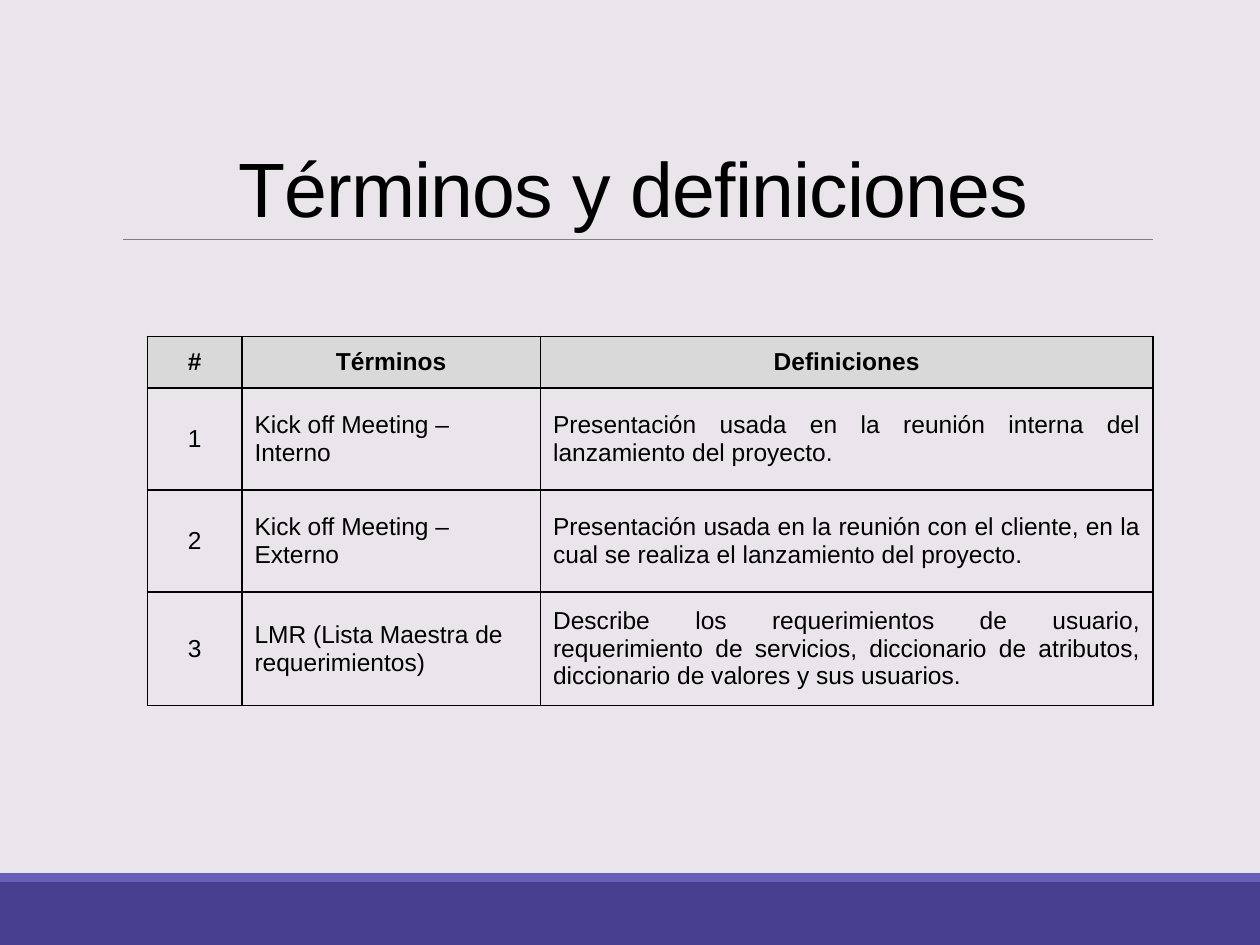
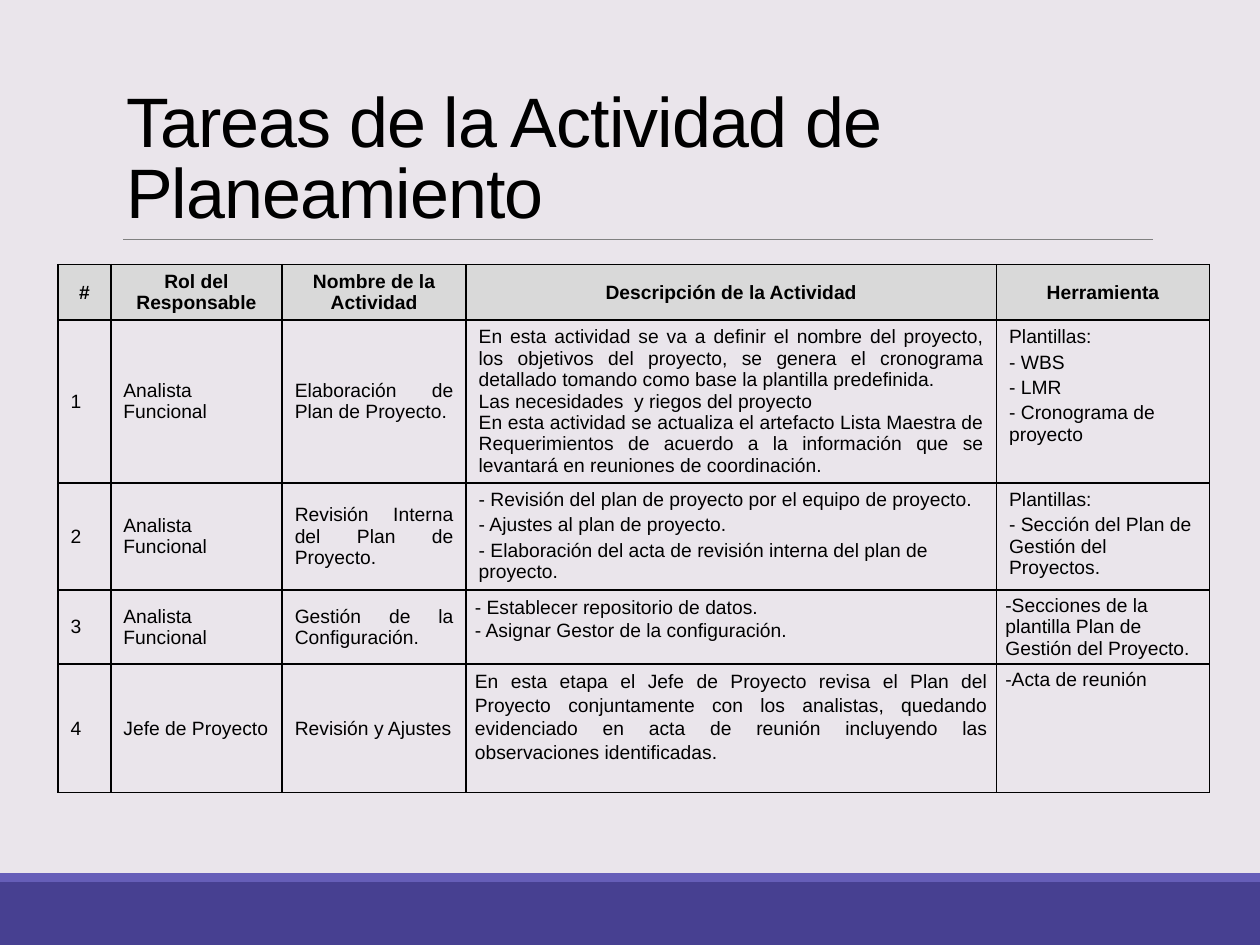
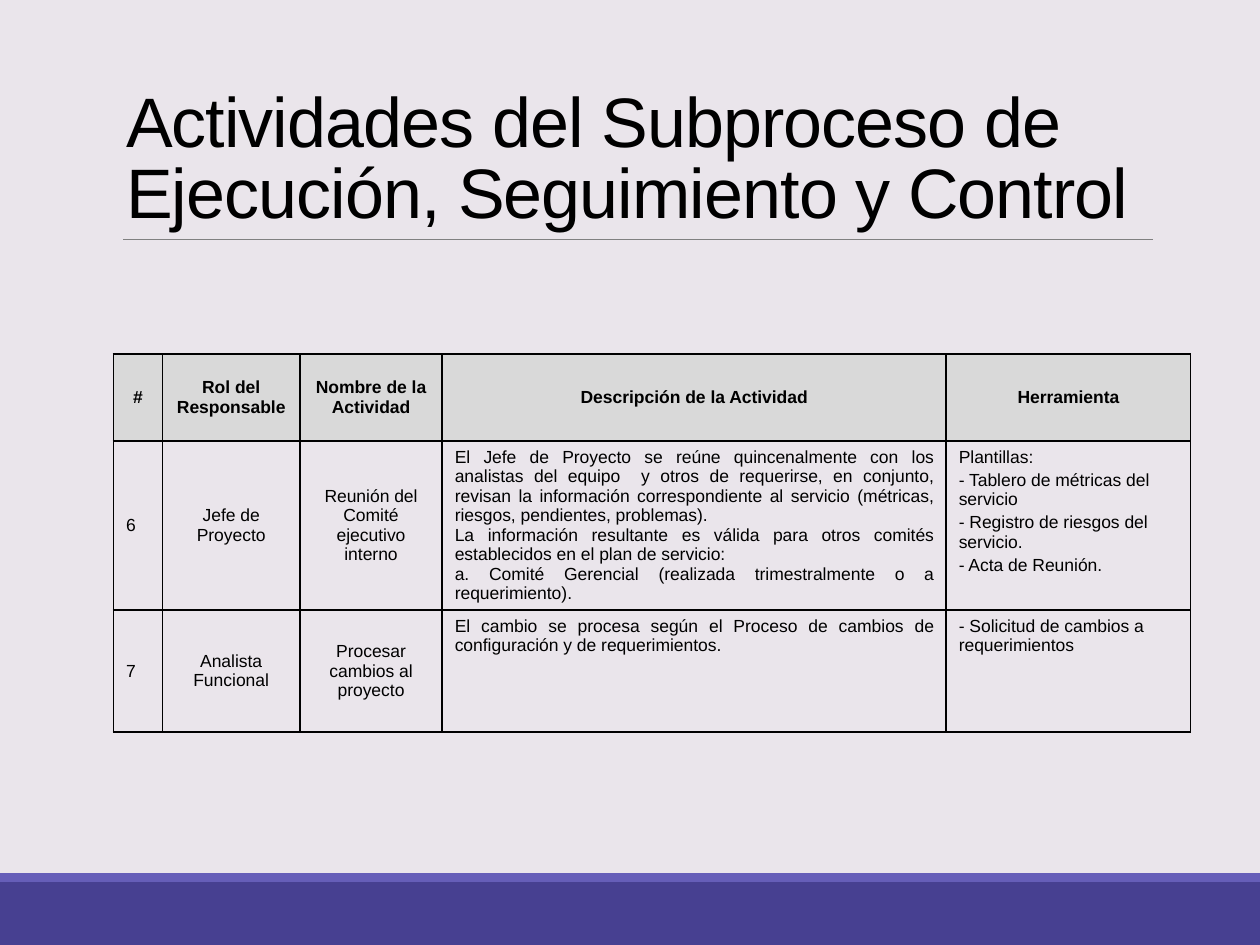
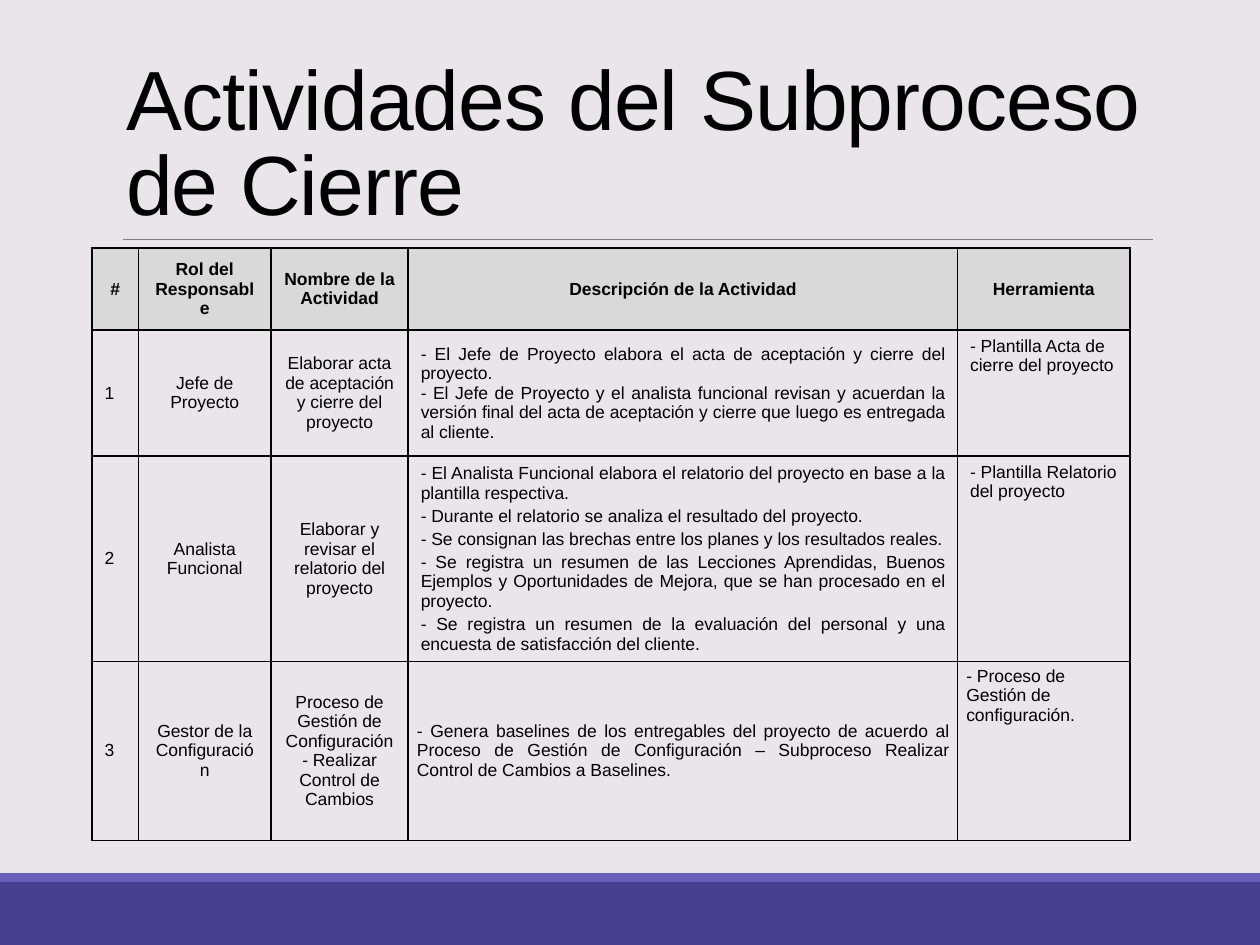
import pptx
import pptx.util
import pptx.dml.color
import pptx.enum.shapes
import pptx.enum.text
import pptx.oxml
import pptx.oxml.ns

Inches, Pt = pptx.util.Inches, pptx.util.Pt
ALIGN = pptx.enum.text.PP_ALIGN
ANCHOR = pptx.enum.text.MSO_ANCHOR

COLORS = {
    "background": "EAE5EB", "band": "474091", "strip": "665EB8",
    "rule": "808080", "text": "000000", "header": "D9D9D9", "border": "000000",
}
FONT = "Arial"

# Cell formats; a gap is a share of the text size.
BASE = {"align": ALIGN.LEFT, "anchor": ANCHOR.MIDDLE, "bold": False,
        "gap": 0, "spacing": None, "margins": (0.1, 0.05)}
LEFT = {}
CENTER = {"align": ALIGN.CENTER}
JUSTIFY = {"align": ALIGN.JUSTIFY}
HEADER = {**CENTER, "bold": True}
TOP_JUSTIFY = {**JUSTIFY, "anchor": ANCHOR.TOP}
TOP_LIST = {"anchor": ANCHOR.TOP, "gap": 0.2}
TIGHT = {"margins": (0.07, 0.04)}
OPEN = {**TIGHT, "spacing": 1.1}
SPACED = {"gap": 0.2}


def rgb(name):
    """Return the named colour."""
    return pptx.dml.color.RGBColor.from_string(COLORS[name])


def set_all(obj, values):
    """Set every attribute in the dict on the object."""
    for name, value in values.items():
        setattr(obj, name, value)


def add_xml(parent, xml):
    """Append an element of the drawing namespace."""
    head, tail = xml.split(" ", 1)
    ns = pptx.oxml.ns.nsdecls("a")
    parent.append(pptx.oxml.parse_xml(f"{head} {ns} {tail}"))


class Deck:
    """Holds the style and the current slide."""

    def __init__(self):
        """Start a 4:3 presentation with a shared layout."""
        self.prs = pptx.Presentation()
        set_all(self.prs, {"slide_width": Inches(10), "slide_height": Inches(7.5)})
        self.layout = self.prs.slide_layouts[5]
        fill = self.layout.background.fill
        fill.solid()
        fill.fore_color.rgb = rgb("background")
        self.slide = None

    def new_slide(self, title, size, align=ALIGN.LEFT):
        """Open a slide with its title; the first one also fills the layout."""
        first = self.slide is None
        self.slide = self.prs.slides.add_slide(self.layout)
        if first:
            self.share([self.band(7, 0.5, "band"), self.band(6.93, 0.07, "strip"),
                        self.rule(0.98, 9.15, 1.9)])
        self.title(title, size, align)

    def share(self, shapes):
        """Move shapes to the layout so that every slide shows them."""
        for i, sp in enumerate(shapes):
            sp.element.xpath(".//p:cNvPr")[0].set("id", str(100 + i))
            self.layout.shapes.element.append(sp.element)

    def band(self, top, height, color):
        """Draw a full-width band."""
        sp = self.slide.shapes.add_shape(
            pptx.enum.shapes.MSO_SHAPE.RECTANGLE,
            0, Inches(top), self.prs.slide_width, Inches(height))
        sp.shadow.inherit = False
        sp.fill.solid()
        sp.fill.fore_color.rgb = rgb(color)
        sp.line.fill.background()
        return sp

    def rule(self, left, right, y):
        """Draw the thin line below the title."""
        sp = self.slide.shapes.add_connector(
            pptx.enum.shapes.MSO_CONNECTOR.STRAIGHT,
            Inches(left), Inches(y), Inches(right), Inches(y))
        sp.line.color.rgb = rgb("rule")
        sp.line.width = Pt(0.5)
        add_xml(sp.element.spPr, "<a:effectLst />")
        return sp

    def run(self, p, text, size, bold=False):
        """Add formatted text to a paragraph."""
        r = p.add_run()
        r.text = text
        set_all(r.font, {"name": FONT, "size": Pt(size), "bold": bold})
        r.font.color.rgb = rgb("text")
        return r

    def title(self, text, size, align):
        """Place and fill the title placeholder."""
        sp = self.slide.shapes.title
        set_all(sp, {"left": Inches(0.9), "top": Inches(0.31),
                     "width": Inches(8.25), "height": Inches(1.59)})
        tf = sp.text_frame
        set_all(tf, {"word_wrap": True, "vertical_anchor": ANCHOR.BOTTOM,
                     "auto_size": pptx.enum.text.MSO_AUTO_SIZE.NONE})
        p = tf.paragraphs[0]
        set_all(p, {"alignment": align, "line_spacing": 0.85})
        r = self.run(p, text, size)
        r.font._element.set("spc", "-50")

    def cell(self, cell, content, style, size, fill=None):
        """Fill a cell from a text, a list of paragraphs, or (content, format)."""
        if isinstance(content, tuple):
            content, extra = content
            style = {**style, **extra}
        style = {**BASE, **style}
        x, y = (Inches(v) for v in style["margins"])
        set_all(cell, {"vertical_anchor": style["anchor"], "margin_left": x,
                       "margin_right": x, "margin_top": y, "margin_bottom": y})
        tf = cell.text_frame
        for i, text in enumerate([content] if isinstance(content, str) else content):
            p = tf.add_paragraph() if i else tf.paragraphs[0]
            set_all(p, {"alignment": style["align"], "line_spacing": style["spacing"],
                        "space_before": Pt(style["gap"] * size if i else 0)})
            self.run(p, text, size, style["bold"])
        for side in "LRTB":
            add_xml(cell._tc.get_or_add_tcPr(),
                    f'<a:ln{side} w="12700"><a:solidFill><a:srgbClr val="{COLORS["border"]}"/>'
                    f'</a:solidFill></a:ln{side}>')
        if fill:
            cell.fill.solid()
            cell.fill.fore_color.rgb = rgb(fill)
        else:
            cell.fill.background()

    def table(self, left, top, widths, heights, size, header, styles, rows):
        """Add a bordered table with one format for each column."""
        table = self.slide.shapes.add_table(
            len(heights), len(widths), Inches(left), Inches(top),
            Inches(sum(widths)), Inches(sum(heights))).table
        set_all(table, {"first_row": False, "horz_banding": False})
        for col, width in zip(table.columns, widths):
            col.width = Inches(width)
        for row, height in zip(table.rows, heights):
            row.height = Inches(height)
        for c, text in enumerate(header):
            self.cell(table.cell(0, c), text, HEADER, size, "header")
        for r, row in enumerate(rows, 1):
            for c, content in enumerate(row):
                self.cell(table.cell(r, c), content, styles[c], size)


ACTIVITY_HEADER = ["#", "Rol del Responsable", "Nombre de la Actividad",
                   "Descripción de la Actividad", "Herramienta"]
ACTIVITY_STYLES = [LEFT, CENTER, CENTER, TOP_JUSTIFY, TOP_LIST]

deck = Deck()

deck.new_slide("Términos y definiciones", 44, ALIGN.CENTER)
deck.table(
    1.17, 2.67, [0.75, 2.37, 4.86], [0.41, 0.81, 0.81, 0.9], 14,
    ["#", "Términos", "Definiciones"], [CENTER, LEFT, JUSTIFY],
    [
        ["1", "Kick off Meeting – Interno",
         "Presentación usada en la reunión interna del lanzamiento del proyecto."],
        ["2", "Kick off Meeting – Externo",
         "Presentación usada en la reunión con el cliente, en la cual se realiza el "
         "lanzamiento del proyecto."],
        ["3", "LMR (Lista Maestra de requerimientos)",
         "Describe los requerimientos de usuario, requerimiento de servicios, "
         "diccionario de atributos, diccionario de valores y sus usuarios."],
    ])

deck.new_slide("Tareas de la Actividad de Planeamiento", 40)
deck.table(
    0.46, 2.1, [0.42, 1.36, 1.46, 4.21, 1.69], [0.44, 1.29, 0.85, 0.58, 1.02], 11,
    ACTIVITY_HEADER, [LEFT, LEFT, JUSTIFY, TOP_JUSTIFY, TOP_LIST],
    [
        ["1", "Analista Funcional", "Elaboración de Plan de Proyecto.",
         ["En esta actividad se va a definir el nombre del proyecto, los objetivos del "
          "proyecto, se genera el cronograma detallado tomando como base la plantilla "
          "predefinida.",
          "Las necesidades  y riegos del proyecto",
          "En esta actividad se actualiza el artefacto Lista Maestra de Requerimientos "
          "de acuerdo a la información que se levantará en reuniones de coordinación."],
         ["Plantillas:", "- WBS", "- LMR", "- Cronograma de proyecto"]],
        ["2", "Analista Funcional", "Revisión Interna del Plan de Proyecto.",
         (["- Revisión del plan de proyecto por el equipo de proyecto.",
           "- Ajustes al plan de proyecto.",
           "- Elaboración del acta de revisión interna del plan de proyecto."],
          {**SPACED, "align": ALIGN.LEFT}),
         ["Plantillas:", "- Sección del Plan de Gestión del Proyectos."]],
        ["3", "Analista Funcional", "Gestión de la Configuración.",
         (["- Establecer repositorio de datos.",
           "- Asignar Gestor de la configuración."], {**OPEN, "align": ALIGN.LEFT}),
         ("-Secciones de la plantilla Plan de Gestión del Proyecto.", TIGHT)],
        ["4", "Jefe de Proyecto", "Revisión y Ajustes",
         ("En esta etapa el Jefe de Proyecto revisa el Plan del Proyecto conjuntamente "
          "con los analistas, quedando evidenciado en acta de reunión incluyendo las "
          "observaciones identificadas.", OPEN),
         ("-Acta de reunión", TIGHT)],
    ])

deck.new_slide("Actividades del Subproceso de Ejecución, Seguimiento y Control", 40)
deck.table(
    0.9, 2.81, [0.39, 1.09, 1.13, 4, 1.94], [0.69, 1.34, 0.97], 10,
    ACTIVITY_HEADER, ACTIVITY_STYLES,
    [
        ["6", "Jefe de Proyecto", "Reunión del Comité ejecutivo interno",
         ["El Jefe de Proyecto se reúne quincenalmente con los analistas del equipo  y "
          "otros de requerirse, en conjunto, revisan la información correspondiente al "
          "servicio (métricas, riesgos, pendientes, problemas).",
          "La información resultante es válida para otros comités establecidos en el "
          "plan de servicio:",
          "a. Comité Gerencial (realizada trimestralmente o a requerimiento)."],
         ["Plantillas:", "- Tablero de métricas del servicio",
          "- Registro de riesgos del servicio.", "- Acta de Reunión."]],
        ["7", "Analista Funcional", "Procesar cambios al proyecto",
         "El cambio se procesa según el Proceso de cambios de configuración y de "
         "requerimientos.",
         "- Solicitud de cambios a requerimientos"],
    ])

deck.new_slide("Actividades del Subproceso de Cierre", 48)
deck.table(
    0.73, 1.97, [0.37, 1.05, 1.09, 4.36, 1.37], [0.65, 1, 1.63, 1.42], 10,
    ACTIVITY_HEADER, [LEFT, CENTER, CENTER, JUSTIFY, TOP_LIST],
    [
        ["1", "Jefe de Proyecto", "Elaborar acta de aceptación y cierre del proyecto",
         ["- El Jefe de Proyecto elabora el acta de aceptación y cierre del proyecto.",
          "- El Jefe de Proyecto y el analista funcional revisan y acuerdan la versión "
          "final del acta de aceptación y cierre que luego es entregada al cliente."],
         "- Plantilla Acta de cierre del proyecto"],
        ["2", "Analista Funcional", "Elaborar y revisar el relatorio del proyecto",
         (["- El Analista Funcional elabora el relatorio del proyecto en base a la "
           "plantilla respectiva.",
           "- Durante el relatorio se analiza el resultado del proyecto.",
           "- Se consignan las brechas entre los planes y los resultados reales.",
           "- Se registra un resumen de las Lecciones Aprendidas, Buenos Ejemplos y "
           "Oportunidades de Mejora, que se han procesado en el proyecto.",
           "- Se registra un resumen de la evaluación del personal y una encuesta de "
           "satisfacción del cliente."], SPACED),
         "- Plantilla Relatorio del proyecto"],
        ["3", "Gestor de la Configuración",
         "Proceso de Gestión de Configuración - Realizar Control de Cambios",
         ("- Genera baselines de los entregables del proyecto de acuerdo al Proceso de "
          "Gestión de Configuración – Subproceso Realizar Control de Cambios a "
          "Baselines.", TIGHT),
         ("- Proceso de Gestión de configuración.", TIGHT)],
    ])

deck.prs.save("out.pptx")
